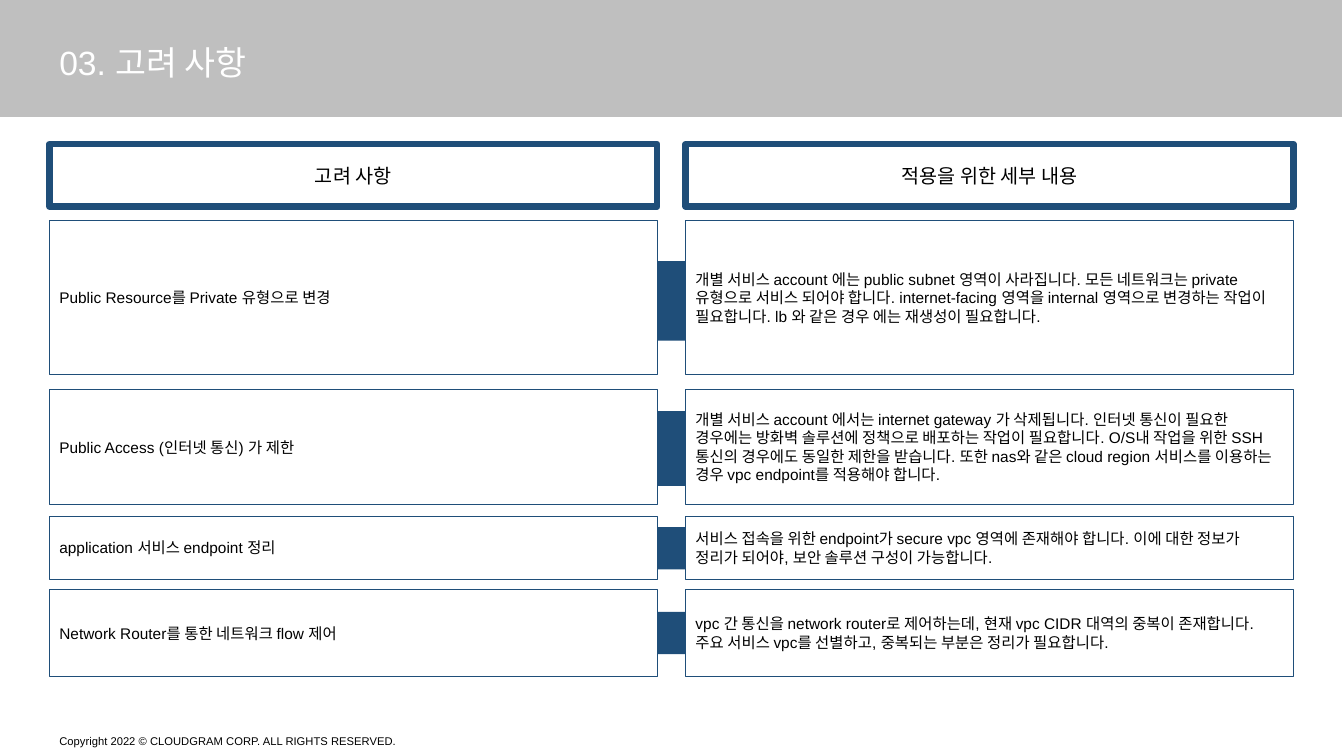
from pptx import Presentation
from pptx.dml.color import RGBColor
from pptx.enum import shapes, text
from pptx.util import Pt

PX = 9144  # EMU per px, 100 px to the inch
NAVY, WHITE, BLACK, GRAY = "1F4E79", "FFFFFF", "000000", "BFBFBF"

TITLE = "03. 고려 사항"
COPYRIGHT = "Copyright 2022 © CLOUDGRAM CORP. ALL RIGHTS RESERVED."
HEADINGS = ("고려 사항", "적용을 위한 세부 내용")

# row top, row height, link left, link top, link height, (topic, detail)
ROWS = [
    (219, 153, 555, 259, 79, (
        "Public Resource를 Private 유형으로 변경",
        "개별 서비스 account 에는 public subnet 영역이 사라집니다. 모든 네트워크는 private "
        "유형으로 서비스 되어야 합니다. internet-facing 영역을 internal 영역으로 변경하는 "
        "작업이 필요합니다. lb 와 같은 경우 에는 재생성이 필요합니다.")),
    (386, 115, 555, 408, 74, (
        "Public Access (인터넷 통신) 가 제한",
        "개별 서비스 account 에서는 internet gateway 가 삭제됩니다. 인터넷 통신이 필요한 "
        "경우에는 방화벽 솔루션에 정책으로 배포하는 작업이 필요합니다. O/S내 작업을 위한 SSH "
        "통신의 경우에도 동일한 제한을 받습니다. 또한 nas와 같은 cloud region 서비스를 이용하는 "
        "경우 vpc endpoint를 적용해야 합니다.")),
    (512, 63, 557, 523, 42, (
        "application 서비스 endpoint 정리",
        "서비스 접속을 위한 endpoint가 secure vpc 영역에 존재해야 합니다. 이에 대한 정보가 "
        "정리가 되어야, 보안 솔루션 구성이 가능합니다.")),
    (585, 86, 555, 607, 42, (
        "Network Router를 통한 네트워크 flow 제어",
        "vpc 간 통신을 network router로 제어하는데, 현재 vpc CIDR 대역의 중복이 "
        "존재합니다. 주요 서비스 vpc를 선별하고, 중복되는 부분은 정리가 필요합니다.")),
]
COLUMN_LEFTS, COLUMN_WIDTH = (49, 680), 603
HEADING_TOP, HEADING_HEIGHT = 143, 62
LINK_WIDTH = 218


def color(value):
    return RGBColor.from_string(value)


def write(shape, words, size, ink=BLACK, align=text.PP_ALIGN.LEFT, spacing=None):
    frame = shape.text_frame
    frame.word_wrap = True
    frame.vertical_anchor = text.MSO_ANCHOR.MIDDLE
    paragraph = frame.paragraphs[0]
    paragraph.alignment = align
    paragraph.line_spacing = spacing
    run = paragraph.add_run()
    run.text = words
    run.font.name = "Arial"
    run.font.size = Pt(size)
    run.font.color.rgb = color(ink)


def add_box(slide, bounds, fill, line_width=None):
    shape = slide.shapes.add_shape(
        shapes.MSO_SHAPE.RECTANGLE, *(value * PX for value in bounds))
    shape.shadow.inherit = False
    shape.fill.solid()
    shape.fill.fore_color.rgb = color(fill)
    if line_width:
        shape.line.color.rgb = color(NAVY)
        shape.line.width = Pt(line_width)
    else:
        shape.line.fill.background()
    return shape


def add_label(slide, bounds, words, size, **style):
    label = slide.shapes.add_textbox(*(value * PX for value in bounds))
    write(label, words, size, **style)


def main():
    presentation = Presentation()
    presentation.slide_width, presentation.slide_height = 1333 * PX, 750 * PX
    slide = presentation.slides.add_slide(presentation.slide_layouts[6])

    add_box(slide, (-2, -2, 1333, 118), GRAY)
    add_label(slide, (49, 37, 753, 50), TITLE, 24, ink=WHITE)
    add_label(slide, (49, 717, 469, 24), COPYRIGHT, 8, spacing=2.0)

    for left, heading in zip(COLUMN_LEFTS, HEADINGS):
        box = add_box(slide, (left, HEADING_TOP, COLUMN_WIDTH, HEADING_HEIGHT), WHITE, 4.5)
        write(box, heading, 14, align=text.PP_ALIGN.CENTER)

    for top, height, link_left, link_top, link_height, cells in ROWS:
        add_box(slide, (link_left, link_top, LINK_WIDTH, link_height), NAVY)
        for left, words in zip(COLUMN_LEFTS, cells):
            box = add_box(slide, (left, top, COLUMN_WIDTH, height), WHITE, 0.75)
            write(box, words, 11)

    presentation.save("out.pptx")


if __name__ == "__main__":
    main()
